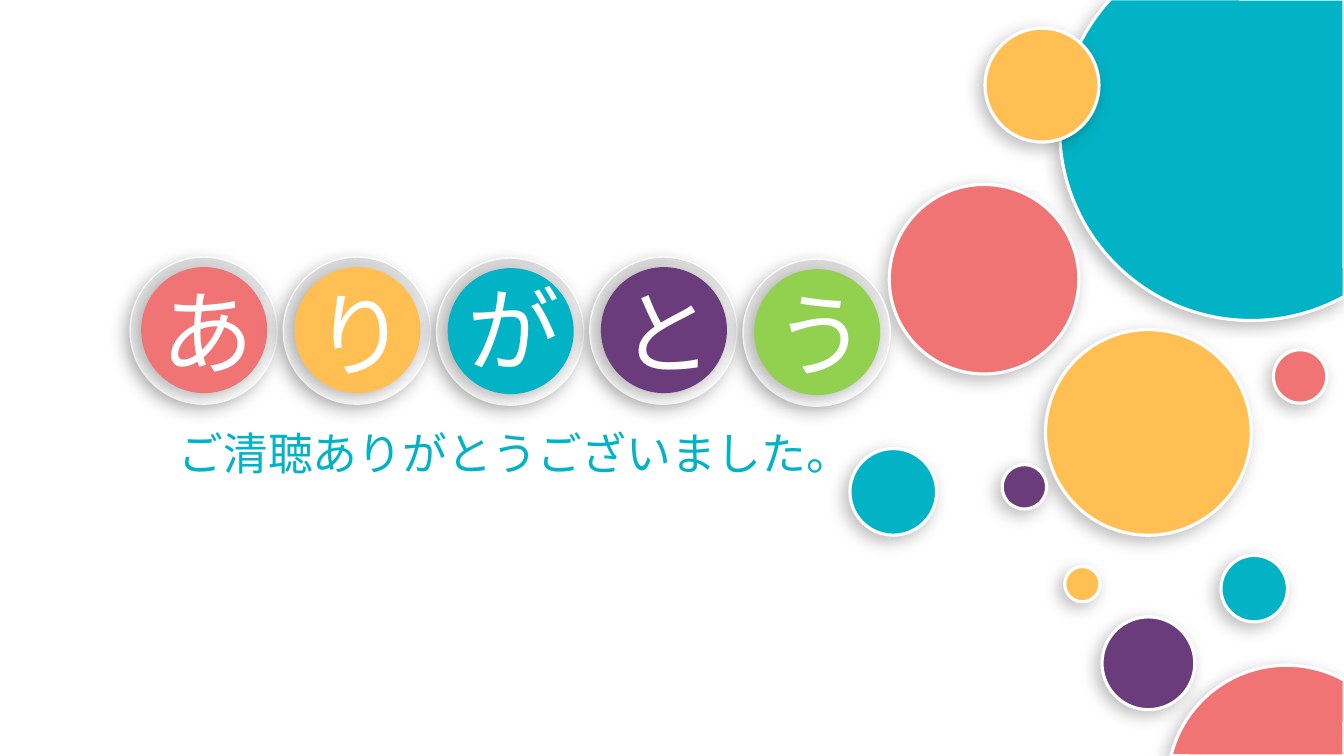
import itertools
import math
from dataclasses import dataclass

import pptx
import pptx.dml.color
import pptx.enum.shapes
import pptx.enum.text
import pptx.oxml
import pptx.oxml.ns
import pptx.util
from pptx.util import Inches

TEAL, CORAL, AMBER = "02B3C5", "F07474", "FFBF53"
PURPLE, GREEN, WHITE, SILVER = "6A3C7C", "92D050", "FFFFFF", "D9D9D9"
FONT = "Calibri"
SLIDE_WIDTH, SLIDE_HEIGHT = 13.33, 7.5


@dataclass
class Bubble:
    left: float
    top: float
    diameter: float
    color: str


@dataclass
class CutBubble:
    """A bubble cut off by a slide corner; angles run clockwise from the right."""
    center_x: float
    center_y: float
    radius: float
    angles: tuple[float, ...]
    corner: tuple[float, float]
    color: str

    def point(self, angle: float, turn: float = 0) -> tuple[int, int]:
        """Point on the rim, moved along the tangent by turn radii, in EMU."""
        cos, sin = math.cos(math.radians(angle)), math.sin(math.radians(angle))
        return (Inches(self.center_x + self.radius * (cos - turn * sin)),
                Inches(self.center_y + self.radius * (sin + turn * cos)))


@dataclass
class Badge:
    letter: str
    color: str
    top: float
    letter_top: float


BUBBLES = [
    Bubble(10.37, 3.27, 2.04, AMBER),
    CutBubble(12.41, 1.28, 1.9, (61, 90, 180, 222.8), (SLIDE_WIDTH, -0.01), TEAL),
    Bubble(8.82, 1.83, 1.88, CORAL),
    Bubble(10.93, 6.12, 0.92, PURPLE),
    Bubble(12.11, 5.51, 0.66, TEAL),
    CutBubble(12.76, 7.78, 1.18, (193.8, 270, 299), (SLIDE_WIDTH, SLIDE_HEIGHT), CORAL),
    Bubble(9.77, 0.28, 1.13, AMBER),
    Bubble(12.63, 3.47, 0.53, CORAL),
    Bubble(10.56, 5.62, 0.35, AMBER),
    Bubble(8.43, 4.45, 0.86, TEAL),
    Bubble(9.94, 4.61, 0.44, PURPLE),
]
BADGES = [
    Badge("あ", CORAL, 2.55, 2.68),
    Badge("り", AMBER, 2.55, 2.7),
    Badge("が", TEAL, 2.56, 2.65),
    Badge("と", PURPLE, 2.55, 2.68),
    Badge("う", GREEN, 2.57, 2.7),
]
BADGE_LEFT, BADGE_STEP = 1.29, 1.52
RING_SIZE, FACE_SIZE = 1.46, 1.25


def rgb(color: str) -> pptx.dml.color.RGBColor:
    return pptx.dml.color.RGBColor.from_string(color)


def add_soft_shadow(shape) -> None:
    """Cast a faint shadow to the lower left."""
    shape.shadow.inherit = False
    effects = shape._element.spPr.find(pptx.oxml.ns.qn("a:effectLst"))
    effects.append(pptx.oxml.parse_xml(
        f'<a:outerShdw {pptx.oxml.ns.nsdecls("a")} blurRad="{pptx.util.Pt(12)}" '
        f'dist="{pptx.util.Pt(5)}" dir="{135 * 60000}" algn="tr" rotWithShape="0">'
        '<a:srgbClr val="000000"><a:alpha val="26000"/></a:srgbClr></a:outerShdw>'))


def outline(shape, width: float) -> None:
    shape.line.color.rgb = rgb(WHITE)
    shape.line.width = pptx.util.Pt(width)


def add_circle(shapes, left: float, top: float, diameter: float):
    circle = shapes.add_shape(
        pptx.enum.shapes.MSO_SHAPE.OVAL,
        Inches(left), Inches(top), Inches(diameter), Inches(diameter))
    add_soft_shadow(circle)
    return circle


def add_cut_circle(shapes, cut: CutBubble):
    """Join the rim points by a freeform and bend its rim sides into curves."""
    rim = [cut.point(angle) for angle in cut.angles]
    corner = tuple(Inches(length) for length in cut.corner)
    builder = shapes.build_freeform(*rim[0])
    builder.add_line_segments([*rim[1:], corner], close=True)
    circle = builder.convert_to_shape()

    sides = list(circle._element.iter(pptx.oxml.ns.qn("a:lnTo")))
    for side, (start, end) in zip(sides, itertools.pairwise(cut.angles)):
        turn = 4 / 3 * math.tan(math.radians(end - start) / 4)
        controls = cut.point(start, turn), cut.point(end, -turn), cut.point(end)
        points = "".join(f'<a:pt x="{x - circle.left}" y="{y - circle.top}"/>'
                         for x, y in controls)
        side.getparent().replace(side, pptx.oxml.parse_xml(
            f'<a:cubicBezTo {pptx.oxml.ns.nsdecls("a")}>{points}</a:cubicBezTo>'))
    add_soft_shadow(circle)
    return circle


def add_bubble(shapes, bubble: Bubble | CutBubble) -> None:
    if isinstance(bubble, CutBubble):
        circle = add_cut_circle(shapes, bubble)
    else:
        circle = add_circle(shapes, bubble.left, bubble.top, bubble.diameter)
    circle.fill.solid()
    circle.fill.fore_color.rgb = rgb(bubble.color)
    outline(circle, 2.25)


def write(shape, text: str, size: float, color: str) -> None:
    frame = shape.text_frame
    frame.text = text
    frame.word_wrap = True
    frame.auto_size = pptx.enum.text.MSO_AUTO_SIZE.SHAPE_TO_FIT_TEXT
    frame.vertical_anchor = pptx.enum.text.MSO_ANCHOR.TOP
    paragraph = frame.paragraphs[0]
    paragraph.alignment = pptx.enum.text.PP_ALIGN.LEFT
    font = paragraph.runs[0].font
    font.name = FONT
    font.size = pptx.util.Pt(size)
    font.color.rgb = rgb(color)


def add_badge(shapes, badge: Badge, left: float) -> None:
    """Draw a silver ring, its coloured face and the letter as one group."""
    parts = shapes.add_group_shape().shapes

    ring = add_circle(parts, left, badge.top, RING_SIZE)
    ring.fill.gradient()
    ring.fill.gradient_angle = 90
    for stop, color, position in zip(ring.fill.gradient_stops, (WHITE, SILVER), (0, 1)):
        stop.color.rgb = rgb(color)
        stop.position = position
    outline(ring, 1)

    face = add_circle(parts, left + 0.11, badge.top + 0.1, FACE_SIZE)
    face.fill.solid()
    face.fill.fore_color.rgb = rgb(badge.color)
    face.line.fill.background()

    letter = parts.add_textbox(
        Inches(left + 0.21), Inches(badge.letter_top), Inches(0.77), Inches(1.21))
    write(letter, badge.letter, 66, WHITE)


def main() -> None:
    deck = pptx.Presentation()
    deck.slide_width, deck.slide_height = Inches(SLIDE_WIDTH), Inches(SLIDE_HEIGHT)
    slide = deck.slides.add_slide(deck.slide_layouts.get_by_name("Title Only"))

    for bubble in BUBBLES:
        add_bubble(slide.shapes, bubble)
    for index, badge in enumerate(BADGES):
        add_badge(slide.shapes, badge, BADGE_LEFT + index * BADGE_STEP)

    thanks = slide.shapes.title
    thanks.left, thanks.top = Inches(1.67), Inches(4.17)
    thanks.width, thanks.height = Inches(6.94), Inches(0.64)
    write(thanks, "ご清聴ありがとうございました。", 32, TEAL)

    deck.save("out.pptx")


if __name__ == "__main__":
    main()
